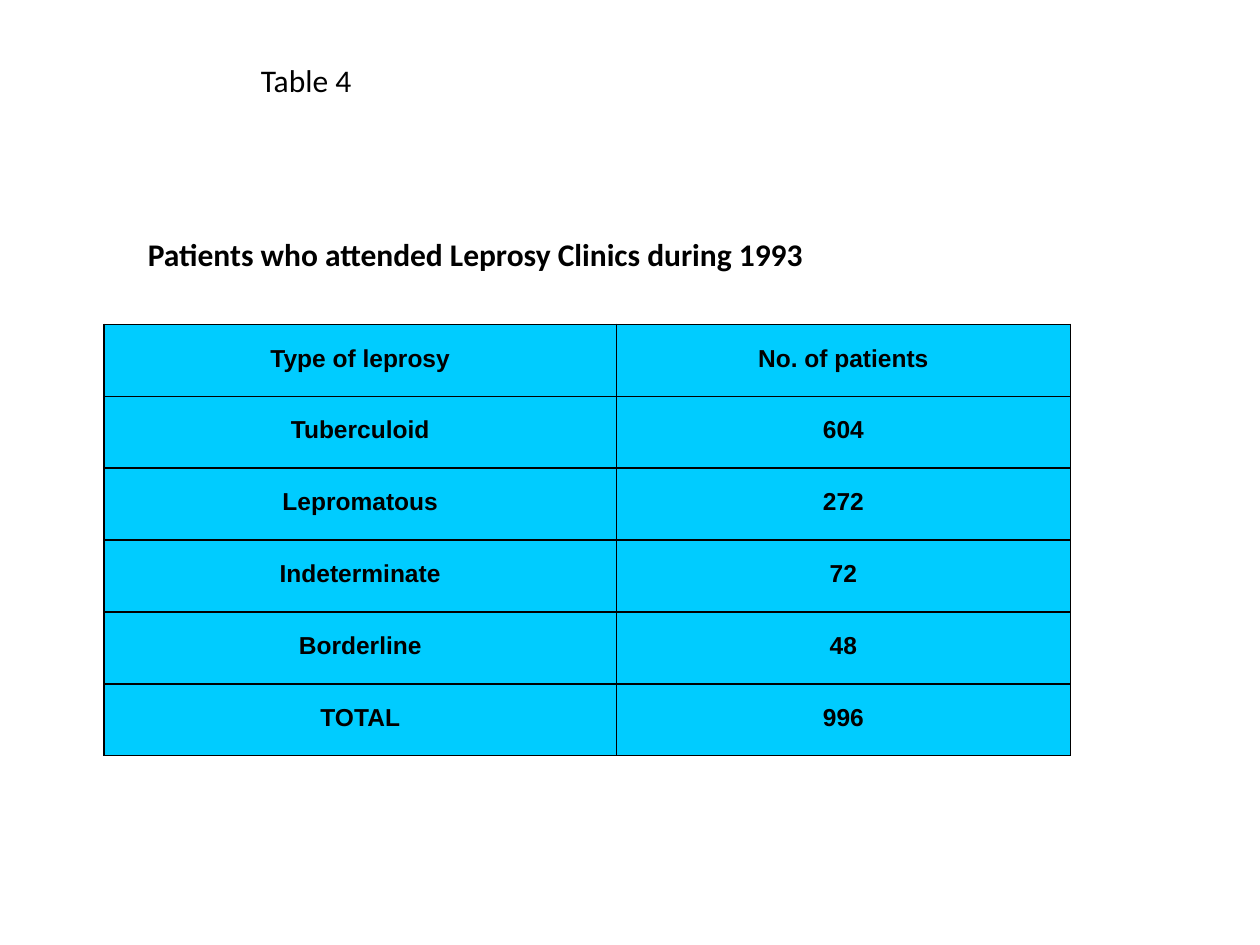
import pptx
import pptx.dml.color
import pptx.enum.text
import pptx.oxml
import pptx.oxml.ns
import pptx.util
from pptx.util import Cm

BLACK = pptx.dml.color.RGBColor(0x00, 0x00, 0x00)
SKY_BLUE = pptx.dml.color.RGBColor(0x00, 0xCC, 0xFF)

PATIENTS = [
    ("Type of leprosy", "No. of patients"),
    ("Tuberculoid", "604"),
    ("Lepromatous", "272"),
    ("Indeterminate", "72"),
    ("Borderline", "48"),
    ("TOTAL", "996"),
]
TYPE_SHARE = 0.53  # part of the table width given to the first column


def set_font(paragraph, name, size, bold):
    paragraph.font.name = name
    paragraph.font.size = pptx.util.Pt(size)
    paragraph.font.bold = bold
    paragraph.font.color.rgb = BLACK


def write_heading(heading, box, text, bold):
    heading.left, heading.top, heading.width, heading.height = box
    frame = heading.text_frame
    frame.text = text
    frame.word_wrap = True
    frame.auto_size = pptx.enum.text.MSO_AUTO_SIZE.NONE
    frame.vertical_anchor = pptx.enum.text.MSO_ANCHOR.TOP
    frame.margin_left = frame.margin_right = frame.margin_bottom = 0
    frame.margin_top = Cm(0.03)
    paragraph = frame.paragraphs[0]
    paragraph.alignment = pptx.enum.text.PP_ALIGN.LEFT
    paragraph.space_before = pptx.util.Pt(1)
    set_font(paragraph, "Calibri", 18, bold)


def add_borders(cell):
    properties = cell._tc.get_or_add_tcPr()
    for position, side in enumerate(("lnL", "lnR", "lnT", "lnB")):
        border = pptx.oxml.parse_xml(
            f'<a:{side} {pptx.oxml.ns.nsdecls("a")} w="12700"><a:solidFill>'
            f'<a:srgbClr val="{BLACK}"/></a:solidFill></a:{side}>'
        )
        properties.insert(position, border)


def format_cell(cell, text):
    cell.text = text
    cell.fill.solid()
    cell.fill.fore_color.rgb = SKY_BLUE
    cell.margin_left = cell.margin_right = cell.margin_bottom = 0
    cell.margin_top = Cm(0.41)
    paragraph = cell.text_frame.paragraphs[0]
    paragraph.alignment = pptx.enum.text.PP_ALIGN.CENTER
    paragraph.space_before = pptx.util.Pt(11.7)
    set_font(paragraph, "Arial", 14, True)
    add_borders(cell)


def add_patient_table(slide, left, top, width, height):
    table = slide.shapes.add_table(
        len(PATIENTS), 2, left, top, width, height
    ).table
    type_width = int(width * TYPE_SHARE)
    table.columns[0].width = type_width
    table.columns[1].width = width - type_width
    for row, values in enumerate(PATIENTS):
        for column, text in enumerate(values):
            format_cell(table.cell(row, column), text)


def main():
    presentation = pptx.Presentation()
    presentation.slide_width = Cm(25.4)
    presentation.slide_height = Cm(19.05)
    slide = presentation.slides.add_slide(presentation.slide_layouts[5])

    # Patient counts
    add_patient_table(slide, Cm(2.1), Cm(6.54), Cm(19.48), Cm(8.7))

    # Title above the table
    write_heading(
        slide.shapes.title,
        (Cm(2.98), Cm(4.7), Cm(13.5), Cm(0.84)),
        "Patients who attended Leprosy Clinics during 1993",
        True,
    )

    # Table number
    table_number = slide.shapes.add_textbox(0, 0, 0, 0)
    write_heading(
        table_number, (Cm(5.26), Cm(1.2), Cm(2), Cm(0.84)), "Table 4", False
    )

    presentation.save("out.pptx")


if __name__ == "__main__":
    main()
